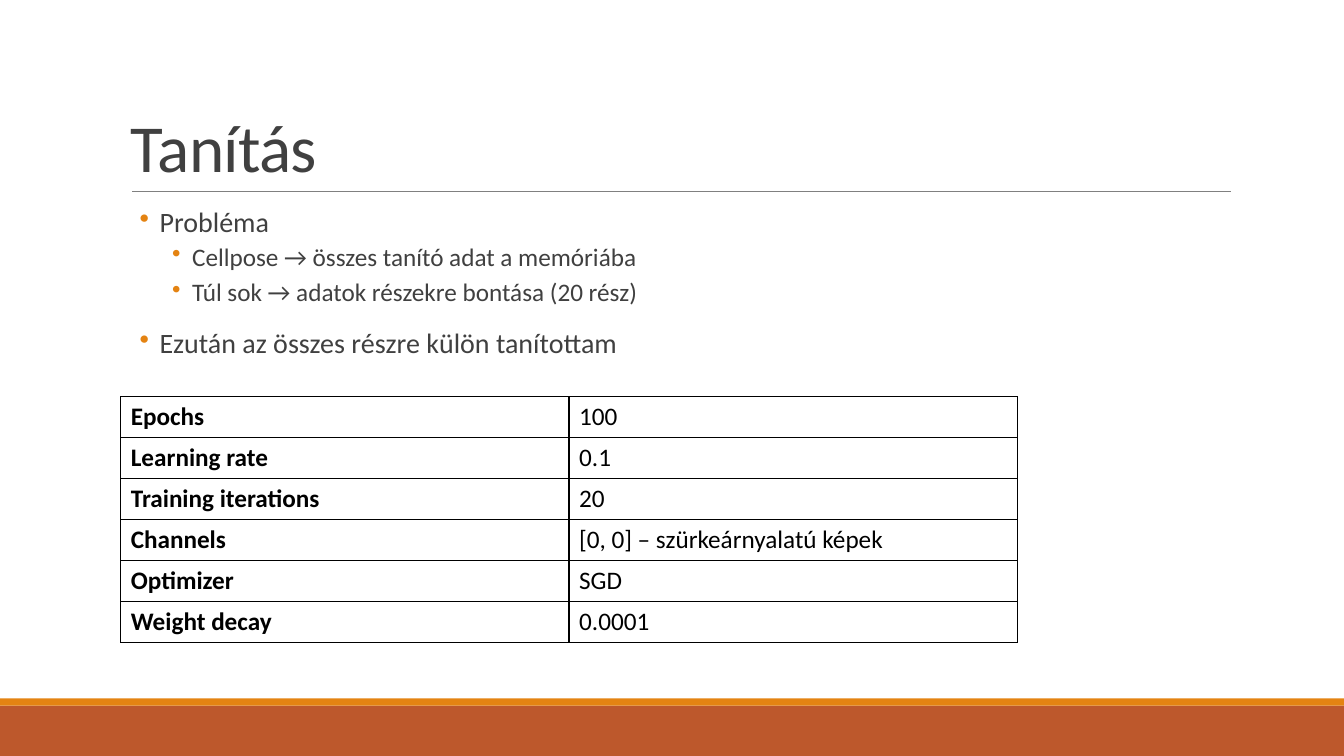
from lxml.etree import SubElement
from pptx import Presentation
from pptx.dml.color import RGBColor
from pptx.enum.shapes import MSO_CONNECTOR, MSO_SHAPE
from pptx.enum.text import MSO_ANCHOR, MSO_AUTO_SIZE, PP_ALIGN
from pptx.oxml.ns import qn
from pptx.util import Pt

PX = 9525
FONT = "Calibri"
RUST = RGBColor(0xBD, 0x58, 0x2C)
ORANGE = RGBColor(0xE4, 0x83, 0x12)
GRAY = RGBColor(0x80, 0x80, 0x80)
DARK = RGBColor(0x40, 0x40, 0x40)
BLACK = RGBColor(0, 0, 0)

POINTS = [
    (0, "Probléma"),
    (1, "Cellpose → összes tanító adat a memóriába"),
    (1, "Túl sok → adatok részekre bontása (20 rész)"),
    (0, "Ezután az összes részre külön tanítottam"),
]
LEVELS = [
    {"size": 20, "indent": 37, "before": 12, "after": 2},
    {"size": 18, "indent": 68, "before": 2, "after": 4},
]
HANGING = 19
SETTINGS = [
    ("Epochs", "100"),
    ("Learning rate", "0.1"),
    ("Training iterations", "20"),
    ("Channels", "[0, 0] – szürkeárnyalatú képek"),
    ("Optimizer", "SGD"),
    ("Weight decay", "0.0001"),
]


def px(*lengths):
    """Turn pixel lengths into EMU."""
    return [length * PX for length in lengths]


def write(paragraph, text, size=18, color=BLACK, bold=False, line=1.0, before=0, after=0, tracking=0):
    """Write one formatted run into a paragraph."""
    paragraph.alignment = PP_ALIGN.LEFT
    paragraph.line_spacing = line
    paragraph.space_before, paragraph.space_after = Pt(before), Pt(after)
    run = paragraph.add_run()
    run.text = text
    run.font.name, run.font.size, run.font.bold = FONT, Pt(size), bold
    run.font.color.rgb = color
    if tracking:
        run.font._element.set("spc", str(tracking))


def add_bullet(paragraph, indent):
    """Give a paragraph an orange bullet with a hanging indent."""
    properties = paragraph._p.get_or_add_pPr()
    properties.set("marL", str(indent * PX))
    properties.set("indent", str(-HANGING * PX))
    color = SubElement(properties, qn("a:buClr"))
    SubElement(color, qn("a:srgbClr"), val=str(ORANGE))
    SubElement(properties, qn("a:buChar"), char="•")


def add_bar(slide, top, height, color):
    """Draw a full-width footer bar."""
    bar = slide.shapes.add_shape(MSO_SHAPE.RECTANGLE, *px(0, top, 1280, height))
    bar.shadow.inherit = False
    bar.fill.solid()
    bar.fill.fore_color.rgb = color
    bar.line.fill.background()


def add_rule(slide, left, right, top):
    """Draw the thin line below the title."""
    rule = slide.shapes.add_connector(MSO_CONNECTOR.STRAIGHT, *px(left, top, right, top))
    rule.line.color.rgb = GRAY
    rule.line.width = Pt(0.5)
    SubElement(rule._element.spPr, qn("a:effectLst"))


def set_title(slide, text):
    """Place and fill the title."""
    title = slide.shapes.title
    title.left, title.top, title.width, title.height = px(115, 30, 1056, 152)
    frame = title.text_frame
    frame.auto_size = MSO_AUTO_SIZE.NONE
    frame.vertical_anchor = MSO_ANCHOR.BOTTOM
    write(frame.paragraphs[0], text, size=48, color=DARK, line=0.85, tracking=-50)


def add_points(slide):
    """Add the two-level bullet list."""
    frame = slide.shapes.add_textbox(*px(115, 194, 1056, 422)).text_frame
    frame.word_wrap = True
    frame.margin_left = frame.margin_right = 0
    for number, (level, text) in enumerate(POINTS):
        paragraph = frame.add_paragraph() if number else frame.paragraphs[0]
        paragraph.level = level
        look = LEVELS[level]
        add_bullet(paragraph, look["indent"])
        write(paragraph, text, size=look["size"], color=DARK, line=0.9,
              before=look["before"] if number else 0, after=look["after"])


def add_borders(cell):
    """Draw black one-point borders around a cell."""
    properties = cell._tc.get_or_add_tcPr()
    for side in ("lnL", "lnR", "lnT", "lnB"):
        border = SubElement(properties, qn(f"a:{side}"), w=str(Pt(1)))
        fill = SubElement(border, qn("a:solidFill"))
        SubElement(fill, qn("a:srgbClr"), val=str(BLACK))


def add_settings(slide, column_width=427, row_height=39):
    """Add the table of training settings."""
    rows = len(SETTINGS)
    table = slide.shapes.add_table(
        rows, 2, *px(115, 378, 2 * column_width, rows * row_height)).table
    table.first_row = table.horz_banding = False
    for row, setting in enumerate(SETTINGS):
        for column, text in enumerate(setting):
            cell = table.cell(row, column)
            add_borders(cell)
            cell.fill.background()
            write(cell.text_frame.paragraphs[0], text, bold=column == 0)


def main():
    """Build and save the slide."""
    deck = Presentation()
    deck.slide_width, deck.slide_height = px(1280, 720)
    slide = deck.slides.add_slide(deck.slide_layouts[5])
    add_bar(slide, 672, 48, RUST)
    add_bar(slide, 665, 7, ORANGE)
    add_rule(slide, 126, 1172, 182)
    set_title(slide, "Tanítás")
    add_points(slide)
    add_settings(slide)
    deck.save("out.pptx")


if __name__ == "__main__":
    main()
